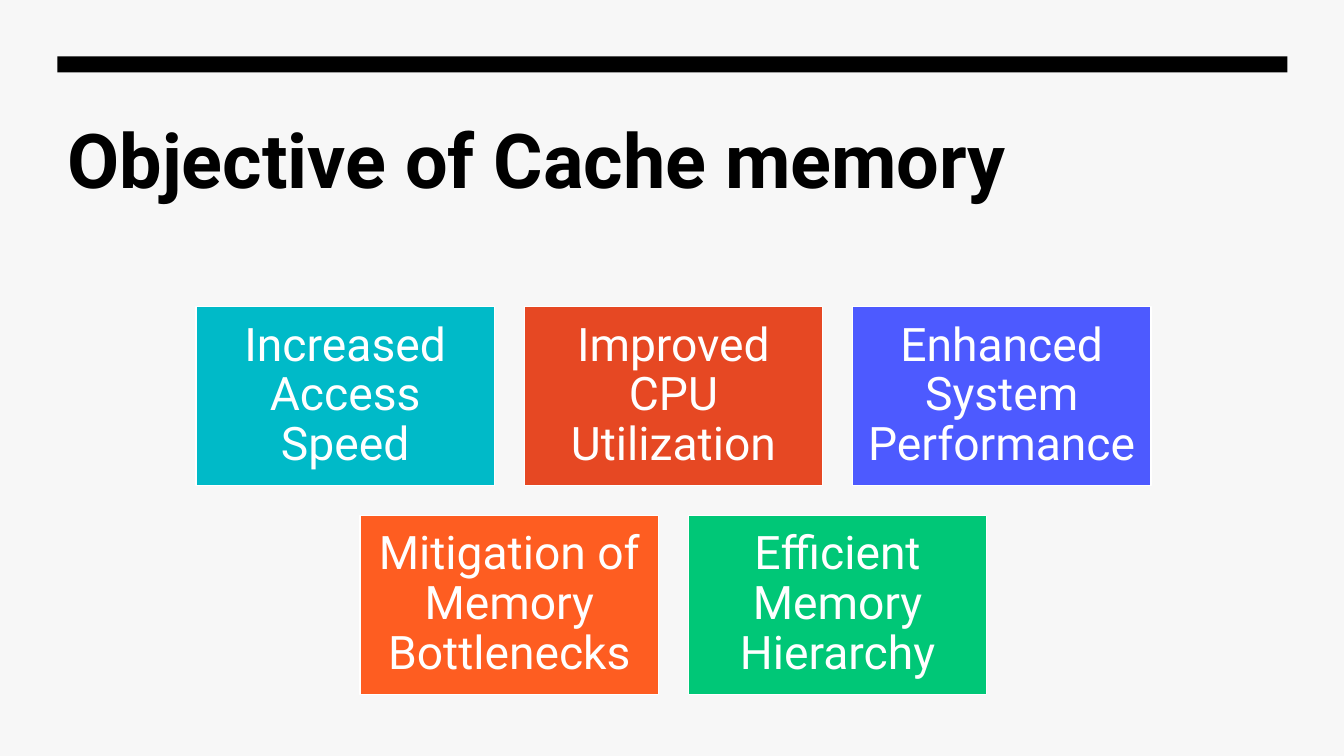
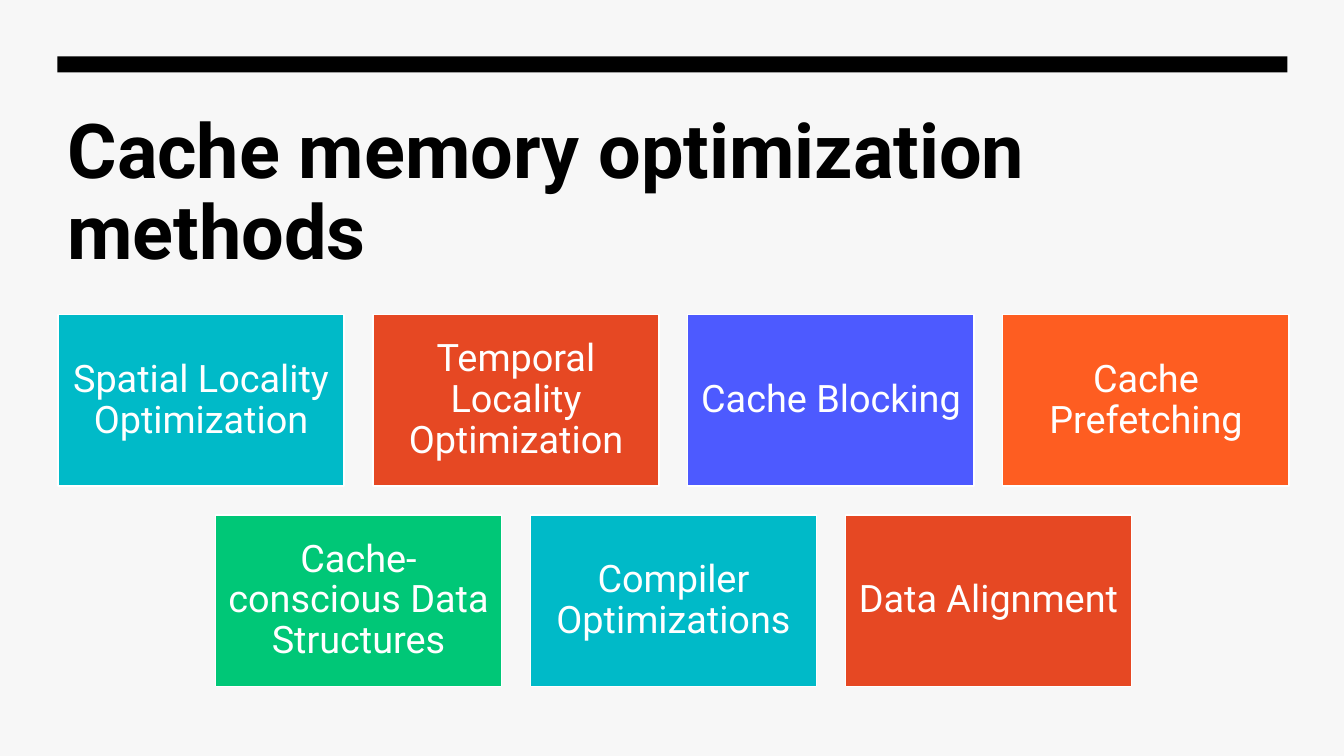
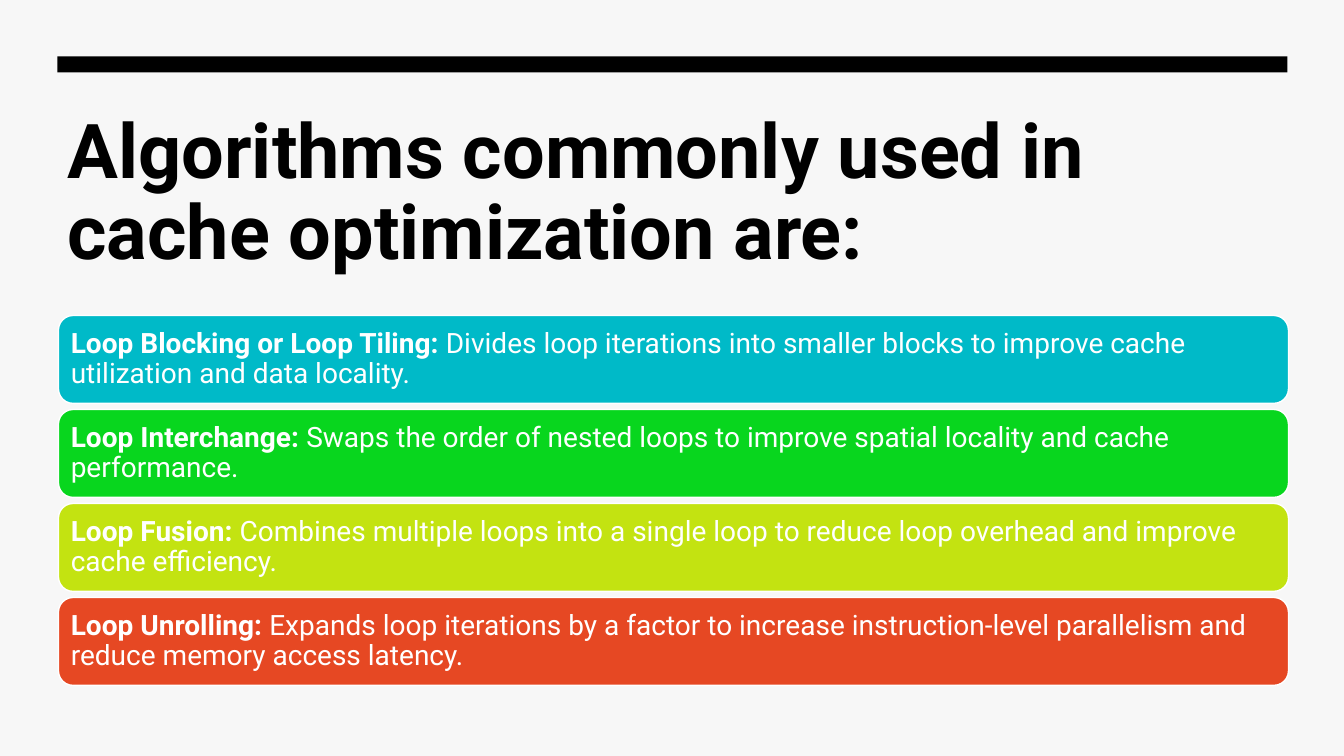
from dataclasses import dataclass

from pptx import Presentation
from pptx.dml.color import RGBColor
from pptx.enum.shapes import MSO_SHAPE
from pptx.enum.text import MSO_ANCHOR, MSO_AUTO_SIZE, PP_ALIGN
from pptx.util import Inches, Pt


@dataclass(frozen=True)
class Theme:
    font: str = "Roboto"
    paper: str = "F7F7F7"
    ink: str = "000000"
    white: str = "FFFFFF"
    teal: str = "00BAC8"
    red: str = "E64823"
    blue: str = "4D5AFF"
    orange: str = "FE5D21"
    green: str = "00C777"
    bright_green: str = "08D61E"
    lime: str = "C3E311"
    title_size: int = 54
    bar_size: int = 20
    tight: float = 0.9

    @property
    def cards(self):
        return self.teal, self.red, self.blue, self.orange, self.green

    @property
    def bars(self):
        return self.teal, self.bright_green, self.lime, self.red


@dataclass(frozen=True)
class Box:
    left: float
    top: float
    width: float
    height: float

    def lengths(self):
        return [Inches(v) for v in (self.left, self.top, self.width, self.height)]


THEME = Theme()
RULE = Box(0.57, 0.56, 12.2, 0.16)
TITLE = Box(0.57, 1.07, 12.2, 1.79)

OBJECTIVES = [
    "Increased Access Speed",
    "Improved CPU Utilization",
    "Enhanced System Performance",
    "Mitigation of Memory Bottlenecks",
    "Efficient Memory Hierarchy",
]
METHODS = [
    "Spatial Locality Optimization",
    "Temporal Locality Optimization",
    "Cache Blocking",
    "Cache Prefetching",
    "Cache-conscious Data Structures",
    "Compiler Optimizations",
    "Data Alignment",
]
ALGORITHMS = [
    ("Loop Blocking or Loop Tiling:",
     "Divides loop iterations into smaller blocks to improve cache utilization and data locality."),
    ("Loop Interchange:",
     "Swaps the order of nested loops to improve spatial locality and cache performance."),
    ("Loop Fusion:",
     "Combines multiple loops into a single loop to reduce loop overhead and improve cache efficiency."),
    ("Loop Unrolling:",
     "Expands loop iterations by a factor to increase instruction-level parallelism "
     "and reduce memory access latency."),
]


def style_paragraph(p, size, color, align, spacing):
    p.alignment = align
    p.line_spacing = spacing
    p.font.name = THEME.font
    p.font.size = Pt(size)
    p.font.color.rgb = RGBColor.from_string(color)


def add_block(slide, box, color, kind=MSO_SHAPE.RECTANGLE, outline=THEME.white):
    sp = slide.shapes.add_shape(kind, *box.lengths())
    sp.shadow.inherit = False
    sp.fill.solid()
    sp.fill.fore_color.rgb = RGBColor.from_string(color)
    if outline:
        sp.line.color.rgb = RGBColor.from_string(outline)
        sp.line.width = Pt(1)
    else:
        sp.line.fill.background()
    return sp


def start_text(sp, padding, size, align):
    """Prepare the shape's text frame and return its styled first paragraph."""
    tf = sp.text_frame
    tf.word_wrap = True
    tf.vertical_anchor = MSO_ANCHOR.MIDDLE
    tf.margin_left = tf.margin_right = Inches(padding)
    tf.margin_top = tf.margin_bottom = Inches(padding)
    p = tf.paragraphs[0]
    style_paragraph(p, size, THEME.white, align, THEME.tight)
    return p


def add_titled_slide(prs, title, spacing=THEME.tight):
    slide = prs.slides.add_slide(prs.slide_layouts[5])
    slide.background.fill.solid()
    slide.background.fill.fore_color.rgb = RGBColor.from_string(THEME.paper)
    add_block(slide, RULE, THEME.ink, outline=None)

    sp = slide.shapes.title
    sp.left, sp.top, sp.width, sp.height = TITLE.lengths()
    tf = sp.text_frame
    tf.text = title
    tf.word_wrap = True
    tf.auto_size = MSO_AUTO_SIZE.NONE
    tf.vertical_anchor = MSO_ANCHOR.TOP
    p = tf.paragraphs[0]
    style_paragraph(p, THEME.title_size, THEME.ink, PP_ALIGN.LEFT, spacing)
    p.font.bold = True
    return slide


def add_cards(slide, area, labels, columns, card_width, size, padding):
    """Fill the area with rows of cards, each row centred across it."""
    card_height = 0.6 * card_width
    gap = 0.1 * card_width
    for i, label in enumerate(labels):
        row, column = divmod(i, columns)
        in_row = min(columns, len(labels) - row * columns)
        row_width = in_row * card_width + (in_row - 1) * gap
        left = area.left + (area.width - row_width) / 2 + column * (card_width + gap)
        top = area.top + row * (card_height + gap)
        color = THEME.cards[i % len(THEME.cards)]
        sp = add_block(slide, Box(left, top, card_width, card_height), color)
        start_text(sp, padding, size, PP_ALIGN.CENTER).add_run().text = label


def add_bars(slide, area, entries, gap=0.06):
    """Stack one rounded bar per (term, meaning) entry, filling the area."""
    height = (area.height - gap * (len(entries) - 1)) / len(entries)
    for i, ((term, meaning), color) in enumerate(zip(entries, THEME.bars)):
        box = Box(area.left, area.top + i * (height + gap), area.width, height)
        sp = add_block(slide, box, color, MSO_SHAPE.ROUNDED_RECTANGLE)
        p = start_text(sp, 0.08, THEME.bar_size, PP_ALIGN.LEFT)
        r = p.add_run()
        r.text = term
        r.font.bold = True
        p.add_run().text = f" {meaning}"


def main():
    prs = Presentation()
    prs.slide_width, prs.slide_height = Inches(13.33), Inches(7.5)

    slide = add_titled_slide(prs, "Objective of Cache memory", spacing=1.0)
    add_cards(slide, Box(0.58, 3.04, 12.2, 3.84), OBJECTIVES,
              columns=3, card_width=2.96, size=33, padding=0.14)

    slide = add_titled_slide(prs, "Cache memory optimization methods")
    add_cards(slide, Box(0.58, 3.12, 12.2, 3.69), METHODS,
              columns=4, card_width=2.84, size=27, padding=0.11)

    slide = add_titled_slide(prs, "Algorithms commonly used in cache optimization are:")
    add_bars(slide, Box(0.58, 3.13, 12.2, 3.67), ALGORITHMS)

    prs.save("out.pptx")


if __name__ == "__main__":
    main()
